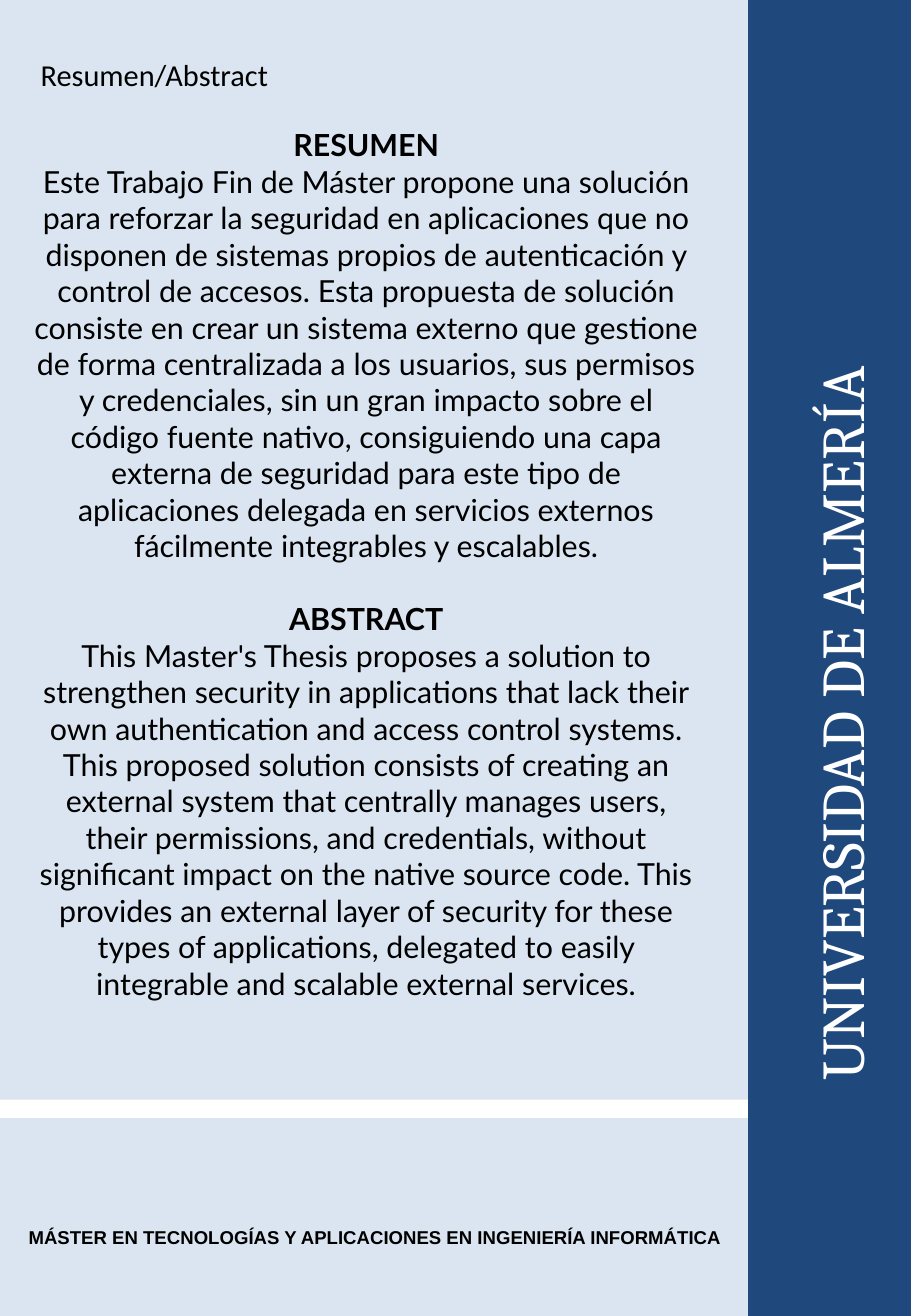
from pptx import Presentation
from pptx.dml.color import RGBColor
from pptx.enum.shapes import MSO_SHAPE
from pptx.enum.text import MSO_ANCHOR, MSO_AUTO_SIZE, PP_ALIGN
from pptx.util import Pt

RECT = MSO_SHAPE.RECTANGLE
TOP, MIDDLE = MSO_ANCHOR.TOP, MSO_ANCHOR.MIDDLE
LEFT, CENTER, JUSTIFY = PP_ALIGN.LEFT, PP_ALIGN.CENTER, PP_ALIGN.JUSTIFY
NO_FIT = MSO_AUTO_SIZE.NONE

THEME = {
    "pale": RGBColor(0xDA, 0xE5, 0xF1),
    "navy": RGBColor(0x1F, 0x49, 0x7D),
    "white": RGBColor(0xFF, 0xFF, 0xFF),
    "black": RGBColor(0, 0, 0),
    "label": ("Calibri", 18),
    "body": ("Lato", 18),
    "foot": ("Arial", 11),
    "side": ("Cambria", 36),
}

SPANISH = (
    "Este Trabajo Fin de Máster propone una solución para reforzar la seguridad "
    "en aplicaciones que no disponen de sistemas propios de autenticación y "
    "control de accesos. Esta propuesta de solución consiste en crear un sistema "
    "externo que gestione de forma centralizada a los usuarios, sus permisos y "
    "credenciales, sin un gran impacto sobre el código fuente nativo, "
    "consiguiendo una capa externa de seguridad para este tipo de aplicaciones "
    "delegada en servicios externos fácilmente integrables y escalables."
)
ENGLISH = (
    "This Master's Thesis proposes a solution to strengthen security in "
    "applications that lack their own authentication and access control systems. "
    "This proposed solution consists of creating an external system that "
    "centrally manages users, their permissions, and credentials, without "
    "significant impact on the native source code. This provides an external "
    "layer of security for these types of applications, delegated to easily "
    "integrable and scalable external services."
)


def write(shape, text, style, align, color="black", bold=False, anchor=TOP):
    frame = shape.text_frame
    frame.text = text
    frame.word_wrap = True
    frame.auto_size = NO_FIT
    frame.vertical_anchor = anchor
    frame.margin_left = frame.margin_right = Pt(7.5)
    frame.margin_top = frame.margin_bottom = Pt(3.6)
    name, size = THEME[style]
    for par in frame.paragraphs:
        par.alignment = align
        par.line_spacing = 1.0
        par.space_before = par.space_after = Pt(0)
        for run in par.runs:
            run.font.name = name
            run.font.size = Pt(size)
            run.font.bold = bold
            run.font.color.rgb = THEME[color]
    return frame


def block(left, top, width, height, color):
    shape = slide.shapes.add_shape(RECT, Pt(left), Pt(top), Pt(width), Pt(height))
    shape.shadow.inherit = False
    shape.fill.solid()
    shape.fill.fore_color.rgb = THEME[color]
    shape.line.fill.background()
    return shape


# Page
deck = Presentation()
deck.slide_width, deck.slide_height = Pt(540), Pt(779.76)
slide = deck.slides.add_slide(deck.slide_layouts[5])
slide.background.fill.solid()
slide.background.fill.fore_color.rgb = THEME["pale"]

# White divider
block(0, 651.6, 470.2, 10.8, "white")

# Vertical university band
band = block(101.5, 341.3, 781.2, 97.2, "navy")
band.rotation = 270
frame = write(band, "UNIVERSIDAD DE ALMERÍA", "side", LEFT, "white", anchor=MIDDLE)
frame.margin_left = Pt(140)
frame.margin_top = Pt(15.6)

# Section label and footer
for text, style, align, bold, box in (
    ("Resumen/Abstract", "label", LEFT, False, (16.6, 29.5, 163.4, 29.5)),
    ("MÁSTER EN TECNOLOGÍAS Y APLICACIONES EN INGENIERÍA INFORMÁTICA",
     "foot", JUSTIFY, True, (9.4, 722.9, 432.7, 22.3)),
):
    note = slide.shapes.add_textbox(*map(Pt, box))
    write(note, text, style, align, bold=bold)

# Summary in both languages
title = slide.shapes.title
title.left, title.top, title.width, title.height = map(Pt, (11.5, 71.3, 411.1, 565.2))
text = "\n".join(("RESUMEN", SPANISH, "ABSTRACT", ENGLISH))
frame = write(title, text, "body", CENTER)
for head in frame.paragraphs[::2]:
    head.runs[0].font.bold = True
frame.paragraphs[2].space_before = Pt(21.6)

deck.save("out.pptx")
